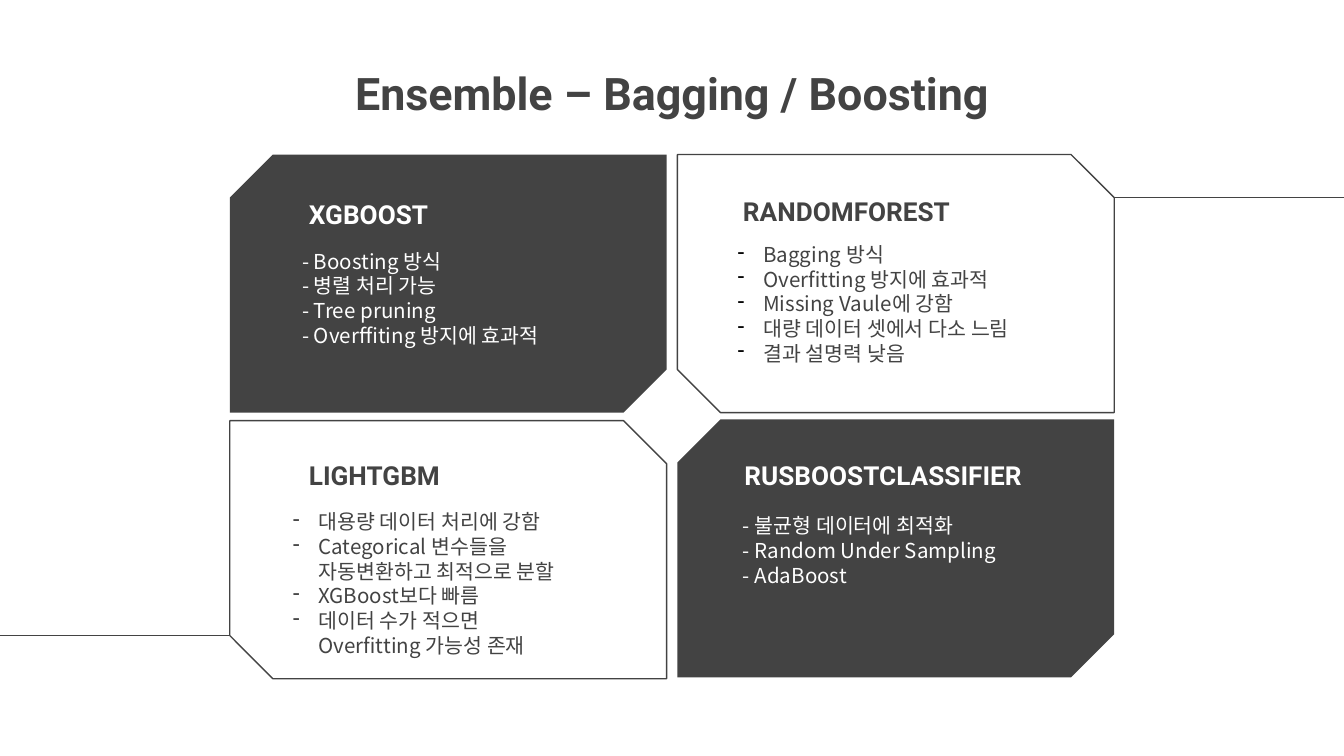
from dataclasses import dataclass

from lxml.etree import SubElement as Sub
from pptx import Presentation
from pptx.dml.color import RGBColor as Rgb
from pptx.enum.shapes import MSO_CONNECTOR as Link, MSO_SHAPE as Kind
from pptx.enum.text import MSO_ANCHOR as Anchor, PP_ALIGN as Align
from pptx.oxml.ns import qn
from pptx.util import Inches, Pt

DARK = Rgb(0x43, 0x43, 0x43)
WHITE = Rgb(0xFF, 0xFF, 0xFF)
BLACK = Rgb(0, 0, 0)
HEAD, BODY = "Roboto", "Noto Sans CJK KR"

# Grid of 100 columns by 56.25 rows
COLS, ROWS = 100, 56.25
LEFT, RIGHT = 17.1, 50.4
TOP, LOW = 11.5, 31.2
WIDE, HIGH = 32.5, 19.2
SNIP = 0.167


@dataclass
class Box:
    x: float
    y: float
    w: float
    h: float


@dataclass
class Card:
    box: Box
    dark: bool
    name: str
    head: Box  # offset from the card's corner
    items: list[str]
    body: Box  # offset from the card's corner
    mark: Rgb | None = None  # bullet colour


CARDS = [
    Card(Box(RIGHT, TOP, WIDE, HIGH), False, "RANDOMFOREST",
         Box(3.9, 1.7, 19.6, 4.7),
         ["Bagging 방식", "Overfitting 방지에 효과적", "Missing Vaule에 강함",
          "대량 데이터 셋에서 다소 느림", "결과 설명력 낮음"],
         Box(3.5, 5.5, 26.1, 11), BLACK),
    Card(Box(LEFT, LOW + 0.1, WIDE, HIGH), False, "LIGHTGBM",
         Box(4.9, 1.5, 19.6, 4.7),
         ["대용량 데이터 처리에 강함",
          "Categorical 변수들을 자동변환하고 최적으로 분할",
          "XGBoost보다 빠름", "데이터 수가 적으면 Overfitting 가능성 존재"],
         Box(3.7, 5.6, 23.8, 11), DARK),
    Card(Box(LEFT, TOP, WIDE, HIGH), True, "XGBOOST",
         Box(4.9, 1.9, 19.6, 4.7),
         ["- Boosting 방식", "- 병렬 처리 가능", "- Tree pruning",
          "- Overffiting 방지에 효과적"],
         Box(4.4, 6, 22.3, 11)),
    Card(Box(RIGHT, LOW, WIDE, HIGH), True, "RUSBOOSTCLASSIFIER",
         Box(4, 1.6, 24.8, 4.7),
         ["- 불균형 데이터에 최적화", "- Random Under Sampling", "- AdaBoost"],
         Box(3.9, 6, 21.7, 11)),
]

deck = Presentation()
deck.slide_width, deck.slide_height = Inches(10), Inches(5.625)
page = deck.slides.add_slide(deck.slide_layouts[6])


def col(n: float) -> int:
    return round(deck.slide_width * n / COLS)


def row(n: float) -> int:
    return round(deck.slide_height * n / ROWS)


def place(box: Box) -> tuple[int, int, int, int]:
    return col(box.x), row(box.y), col(box.w), row(box.h)


def shift(box: Box, base: Box) -> Box:
    return Box(base.x + box.x, base.y + box.y, box.w, box.h)


def bullet(para, color: Rgb) -> None:
    props = para._p.get_or_add_pPr()
    props.set("marL", str(Inches(0.19)))
    props.set("indent", str(-Inches(0.19)))
    tint = Sub(props, qn("a:buClr"))
    Sub(tint, qn("a:srgbClr")).set("val", str(color))
    Sub(props, qn("a:buChar")).set("char", "-")


def write(box: Box, lines: list[str], *, size: float, face: str, color: Rgb,
          bold: bool = False, align: Align = Align.LEFT,
          anchor: Anchor = Anchor.TOP, pitch: float | None = None,
          mark: Rgb | None = None) -> None:
    frame = page.shapes.add_textbox(*place(box)).text_frame
    frame.word_wrap = True
    frame.vertical_anchor = anchor
    frame.margin_left = frame.margin_right = Inches(0.1)
    frame.margin_top = frame.margin_bottom = Inches(0.1)
    for i, line in enumerate(lines):
        para = frame.add_paragraph() if i else frame.paragraphs[0]
        para.alignment = align
        if pitch:
            para.line_spacing = Pt(pitch)
        if mark is not None:
            bullet(para, mark)
        run = para.add_run()
        run.text = line
        font = run.font
        font.name, font.size, font.bold = face, Pt(size), bold
        font.color.rgb = color
        Sub(run._r.get_or_add_rPr(), qn("a:ea")).set("typeface", face)


def panel(card: Card) -> None:
    shape = page.shapes.add_shape(Kind.SNIP_2_DIAG_RECTANGLE, *place(card.box))
    shape.shadow.inherit = False
    # Dark cards snip the opposite pair of corners
    snips = (SNIP, 0) if card.dark else (0, SNIP)
    shape.adjustments[0], shape.adjustments[1] = snips
    if card.dark:
        shape.fill.solid()
        shape.fill.fore_color.rgb = DARK
        shape.line.fill.background()
    else:
        shape.fill.background()
        shape.line.color.rgb = DARK
        shape.line.width = Pt(0.75)


def rule(start: float, end: float, y: float) -> None:
    line = page.shapes.add_connector(Link.STRAIGHT, col(start), row(y),
                                     col(end), row(y))
    line.line.color.rgb = DARK
    line.line.width = Pt(0.75)
    Sub(line._element.spPr, qn("a:effectLst"))


# Title
write(Box(21.5, 3.9, 57, 10.3), ["Ensemble – Bagging / Boosting"],
      size=24, face=HEAD, color=DARK, bold=True, align=Align.CENTER)

# Lines from the snipped corners to the slide's edges
cut = SNIP * HIGH
rule(RIGHT + WIDE, COLS, TOP + cut)
rule(LEFT, 0, LOW + 0.1 + HIGH - cut)

# Cards with heading and points
for card in CARDS:
    panel(card)
    ink = WHITE if card.dark else DARK
    write(shift(card.head, card.box), [card.name], size=14, face=HEAD,
          color=ink, bold=True, anchor=Anchor.BOTTOM)
    write(shift(card.body, card.box), card.items, size=11, face=BODY,
          color=ink, pitch=13.2, mark=card.mark)

deck.save("out.pptx")
